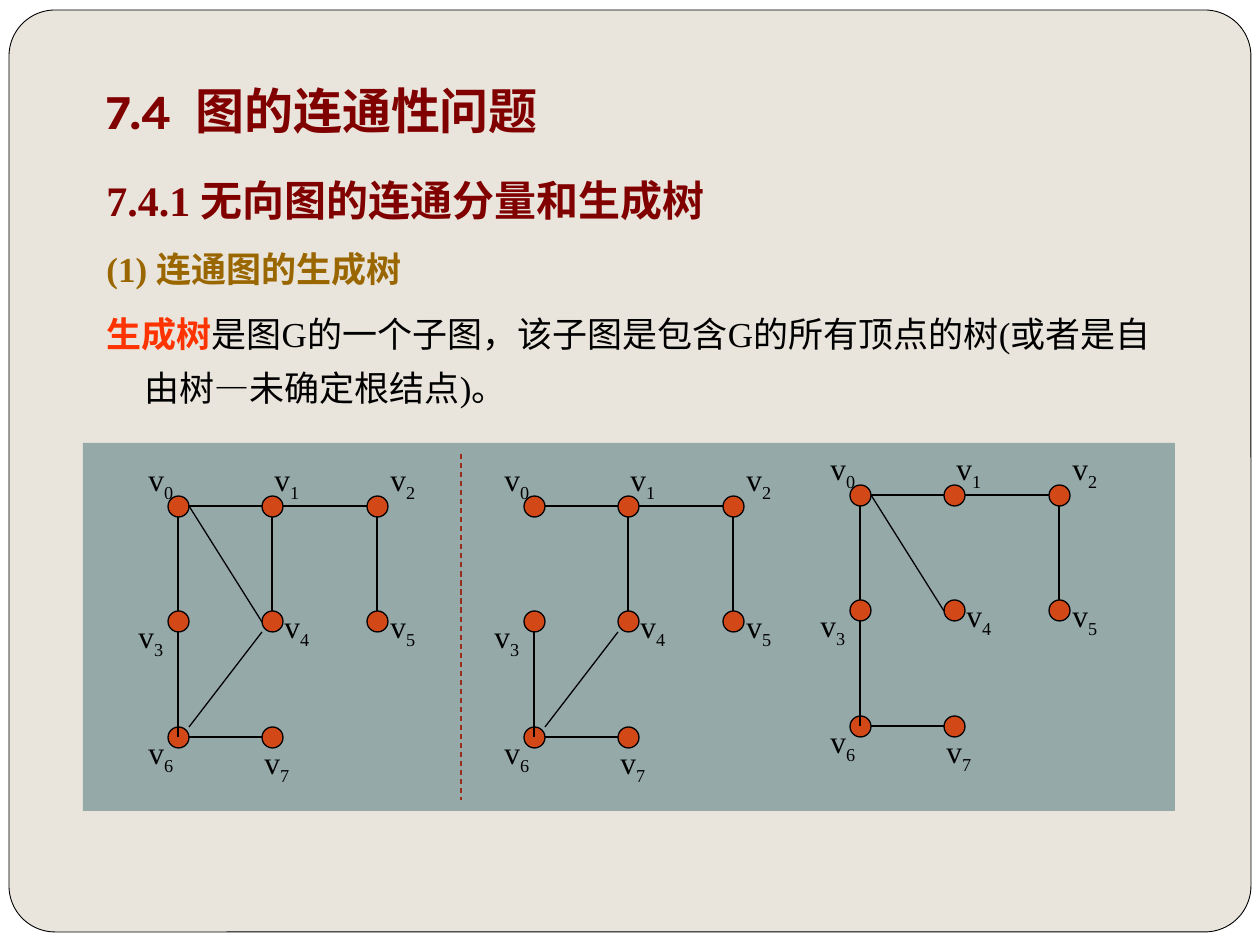
from lxml.etree import SubElement
from pptx import Presentation
from pptx.dml.color import RGBColor
from pptx.enum.dml import MSO_LINE
from pptx.enum.shapes import MSO_CONNECTOR, MSO_SHAPE
from pptx.enum.text import MSO_ANCHOR, MSO_AUTO_SIZE, PP_ALIGN
from pptx.oxml.ns import qn
from pptx.util import Emu, Pt

EMU_PER_PX = 914400 / 126
COLORS = {
    "white": "FFFFFF", "paper": "E9E5DC", "black": "000000",
    "heading": "800000", "subheading": "996600", "term": "FF3300",
    "panel": "96A9A9", "vertex": "D34817", "divider": "9B2D1F",
}
SERIF = "Times New Roman"


def px(*lengths):
    return [Emu(round(length * EMU_PER_PX)) for length in lengths]


def add_run(paragraph, text, size, color, font=SERIF, bold=False):
    run = paragraph.add_run()
    run.text = text
    run.font.name = font
    run.font.size = Pt(size)
    run.font.bold = bold
    run.font.color.rgb = RGBColor.from_string(COLORS[color])
    return run


presentation = Presentation()
presentation.slide_width, presentation.slide_height = px(1260, 945)
slide = presentation.slides.add_slide(presentation.slide_layouts[5])
slide.background.fill.solid()
slide.background.fill.fore_color.rgb = RGBColor.from_string(COLORS["white"])

frame = slide.shapes.add_shape(MSO_SHAPE.ROUNDED_RECTANGLE, *px(9, 10, 1242, 922))
frame.adjustments[0] = 0.05
frame.shadow.inherit = False
frame.fill.solid()
frame.fill.fore_color.rgb = RGBColor.from_string(COLORS["paper"])
frame.line.color.rgb = RGBColor.from_string(COLORS["black"])
frame.line.width = Pt(0.5)

title = slide.shapes.title
frame._element.addnext(title._element)
title.left, title.top, title.width, title.height = px(94, 63, 1071, 94)
title.text_frame.vertical_anchor = MSO_ANCHOR.MIDDLE
title.text_frame.auto_size = MSO_AUTO_SIZE.NONE
title.text_frame.paragraphs[0].alignment = PP_ALIGN.LEFT
add_run(title.text_frame.paragraphs[0], "7.4  图的连通性问题", 28, "heading", "Karla", True)

body = slide.shapes.add_textbox(*px(94, 168, 1071, 305)).text_frame
body.word_wrap = True
body_paragraphs = [
    [("7.4.1 无向图的连通分量和生成树", 24, "heading", SERIF, True)],
    [("(1) 连通图的生成树", 20, "subheading", SERIF, True)],
    [("生成树", 20, "term", SERIF, True),
     ("是图G的一个子图，该子图是包含G的所有顶点的树(或者是自由树—未确定根结点)。", 20, "black")],
]
for index, runs in enumerate(body_paragraphs):
    paragraph = body.add_paragraph() if index else body.paragraphs[0]
    if index:
        paragraph.space_before = Pt(5.8)
        paragraph.line_spacing = 1.3
    indent = px(38)[0]
    properties = paragraph._p.get_or_add_pPr()
    properties.set("marL", str(indent))
    properties.set("indent", str(-indent))
    for run in runs:
        add_run(paragraph, *run)

figure = slide.shapes.add_group_shape().shapes
panel = figure.add_shape(MSO_SHAPE.RECTANGLE, *px(83, 443, 1092, 368))
panel.shadow.inherit = False
panel.fill.solid()
panel.fill.fore_color.rgb = RGBColor.from_string(COLORS["panel"])
panel.line.fill.background()

DIAMETER = 21
VERTICES = [(0, 0), (94, 0), (199, 0), (0, 115), (94, 115), (199, 115), (0, 231), (94, 231)]
LABELS = [(-32, -42), (94, -42), (210, -42), (-42, 115), (104, 105), (210, 105), (-32, 231), (84, 241)]
EDGES = {
    "01": (21, 10, 94, 10), "12": (115, 10, 199, 10),
    "03": (10, 21, 10, 115), "36": (10, 136, 10, 241),
    "14": (104, 21, 104, 115), "25": (209, 21, 209, 115),
    "67": (21, 241, 94, 241), "46": (21, 231, 94, 136),
    "04": (21, 10, 94, 126),
}
GRAPHS = [
    (168, 496, list(EDGES)),
    (524, 496, ["01", "12", "14", "25", "36", "67", "46"]),
    (850, 485, ["01", "12", "03", "25", "36", "67", "04"]),
]

lines = [(458 + 3, 454, 461, 800, "divider")]
for left, top, edges in GRAPHS:
    for x, y in VERTICES:
        vertex = figure.add_shape(MSO_SHAPE.OVAL, *px(left + x, top + y, DIAMETER, DIAMETER))
        vertex.shadow.inherit = False
        vertex.fill.solid()
        vertex.fill.fore_color.rgb = RGBColor.from_string(COLORS["vertex"])
        vertex.line.color.rgb = RGBColor.from_string(COLORS["black"])
        vertex.line.width = Pt(0.75)
    for number, (x, y) in enumerate(LABELS):
        label = figure.add_textbox(*px(left + x, top + y, 63, 54)).text_frame
        label.word_wrap = True
        label.auto_size = MSO_AUTO_SIZE.SHAPE_TO_FIT_TEXT
        add_run(label.paragraphs[0], "v", 18, "black")
        subscript = add_run(label.paragraphs[0], str(number), 18, "black")
        subscript.font._element.set("baseline", "-25000")
    for edge in edges:
        x1, y1, x2, y2 = EDGES[edge]
        lines.append((left + x1, top + y1, left + x2, top + y2, "black"))

for x1, y1, x2, y2, color in lines:
    connector = figure.add_connector(MSO_CONNECTOR.STRAIGHT, *px(x1, y1, x2, y2))
    connector.line.color.rgb = RGBColor.from_string(COLORS[color])
    connector.line.width = Pt(0.75)
    if color == "divider":
        connector.line.dash_style = MSO_LINE.DASH
    SubElement(connector._element.spPr, qn("a:effectLst"))

presentation.save("out.pptx")
